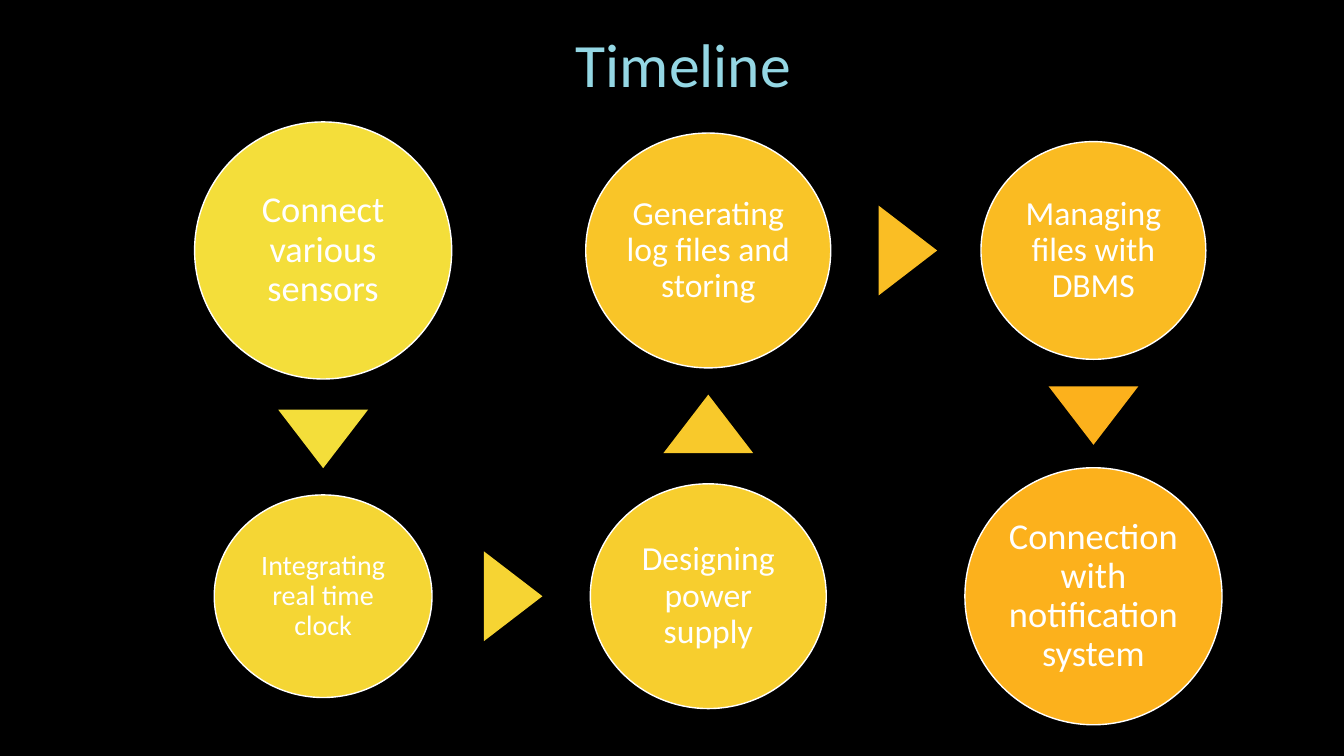
from pptx import Presentation
from pptx.dml.color import RGBColor
from pptx.enum.shapes import MSO_SHAPE
from pptx.enum.text import MSO_ANCHOR, PP_ALIGN
from pptx.util import Inches, Pt

BLACK = RGBColor(0x00, 0x00, 0x00)
WHITE = RGBColor(0xFF, 0xFF, 0xFF)
TITLE_BLUE = RGBColor(0x94, 0xD7, 0xE4)
FONT = "Calibri"

# Steps in order: text, column, row, width, height, text size, fill
STEPS = [
    ("Connect various sensors", 0, 0, 2.55, 2.55, 26, RGBColor(0xF4, 0xDE, 0x3A)),
    ("Integrating real time clock", 0, 1, 2.16, 2.01, 20, RGBColor(0xF5, 0xD6, 0x34)),
    ("Designing power supply", 1, 1, 2.34, 2.23, 24, RGBColor(0xF7, 0xCE, 0x2E)),
    ("Generating log files and storing", 1, 0, 2.43, 2.33, 24, RGBColor(0xF9, 0xC5, 0x28)),
    ("Managing files with DBMS", 2, 0, 2.23, 2.16, 24, RGBColor(0xFA, 0xBB, 0x22)),
    ("Connection with notification system", 2, 1, 2.55, 2.55, 26, RGBColor(0xFC, 0xB1, 0x1C)),
]
ARROW_FILLS = [
    RGBColor(0xF4, 0xDE, 0x3A),
    RGBColor(0xF6, 0xD4, 0x33),
    RGBColor(0xF8, 0xC9, 0x2B),
    RGBColor(0xFA, 0xBE, 0x24),
    RGBColor(0xFC, 0xB1, 0x1C),
]
LARGEST_CIRCLE = 2.55
ARROW_WIDTH, ARROW_HEIGHT = 0.89, 0.58
ARROW_NUDGE = 0.02  # arrows sit slightly towards the next step


def write_text(text_frame, text, size, color):
    """Write one centred paragraph."""
    text_frame.word_wrap = True
    paragraph = text_frame.paragraphs[0]
    paragraph.alignment = PP_ALIGN.CENTER
    paragraph.line_spacing = 0.9
    run = paragraph.add_run()
    run.text = text
    run.font.size = Pt(size)
    run.font.name = FONT
    run.font.color.rgb = color


def add_centred_shape(slide, kind, center_x, center_y, width, height, fill):
    shape = slide.shapes.add_shape(
        kind, Inches(center_x - width / 2), Inches(center_y - height / 2),
        Inches(width), Inches(height))
    shape.shadow.inherit = False
    shape.fill.solid()
    shape.fill.fore_color.rgb = fill
    return shape


def add_title(slide, left, top, width, height):
    title = slide.shapes.title
    title.left, title.top = Inches(left), Inches(top)
    title.width, title.height = Inches(width), Inches(height)
    title.text_frame.vertical_anchor = MSO_ANCHOR.BOTTOM
    write_text(title.text_frame, "Timeline", 44, TITLE_BLUE)


def add_step(slide, center_x, center_y, width, height, text, size, fill):
    circle = add_centred_shape(
        slide, MSO_SHAPE.OVAL, center_x, center_y, width, height, fill)
    circle.line.color.rgb = WHITE
    circle.line.width = Pt(1)
    frame = circle.text_frame
    frame.vertical_anchor = MSO_ANCHOR.MIDDLE
    frame.margin_left = frame.margin_right = Inches(0.03)
    frame.margin_top = frame.margin_bottom = Inches(0.03)
    write_text(frame, text, size, WHITE)


def add_arrow(slide, start, end, fill):
    """Place a triangle in the gap between two circles (x, y, width, height)."""
    start_x, start_y, start_width, start_height = start
    end_x, end_y, end_width, end_height = end
    if start_y == end_y:
        x = (start_x + start_width / 2 + end_x - end_width / 2) / 2 + ARROW_NUDGE
        y = start_y
        rotation = 90
    else:
        direction = 1 if end_y > start_y else -1
        x = start_x
        y = (start_y + end_y + direction * (start_height - end_height) / 2) / 2
        y += direction * ARROW_NUDGE
        rotation = 180 if direction == 1 else 0
    arrow = add_centred_shape(
        slide, MSO_SHAPE.ISOSCELES_TRIANGLE, x, y, ARROW_WIDTH, ARROW_HEIGHT, fill)
    arrow.line.fill.background()
    arrow.rotation = rotation


def add_timeline(slide, left, top, width, height):
    # Circle centres on a grid of three columns and two rows
    column_pitch = (width - LARGEST_CIRCLE) / 2
    row_pitch = height - LARGEST_CIRCLE
    circles = []
    for text, column, row, circle_width, circle_height, size, fill in STEPS:
        center_x = left + LARGEST_CIRCLE / 2 + column * column_pitch
        center_y = top + LARGEST_CIRCLE / 2 + row * row_pitch
        circle = (center_x, center_y, circle_width, circle_height)
        add_step(slide, *circle, text, size, fill)
        circles.append(circle)

    # Arrows from each step to the next
    for start, end, fill in zip(circles, circles[1:], ARROW_FILLS):
        add_arrow(slide, start, end, fill)


def main():
    presentation = Presentation()
    presentation.slide_width = Inches(13.33)
    presentation.slide_height = Inches(7.5)
    slide = presentation.slides.add_slide(presentation.slide_layouts[5])
    slide.background.fill.solid()
    slide.background.fill.fore_color.rgb = BLACK
    add_title(slide, 1.78, 0.23, 10, 0.82)
    add_timeline(slide, 1.93, 1.21, 10.19, 5.98)
    presentation.save("out.pptx")


if __name__ == "__main__":
    main()
